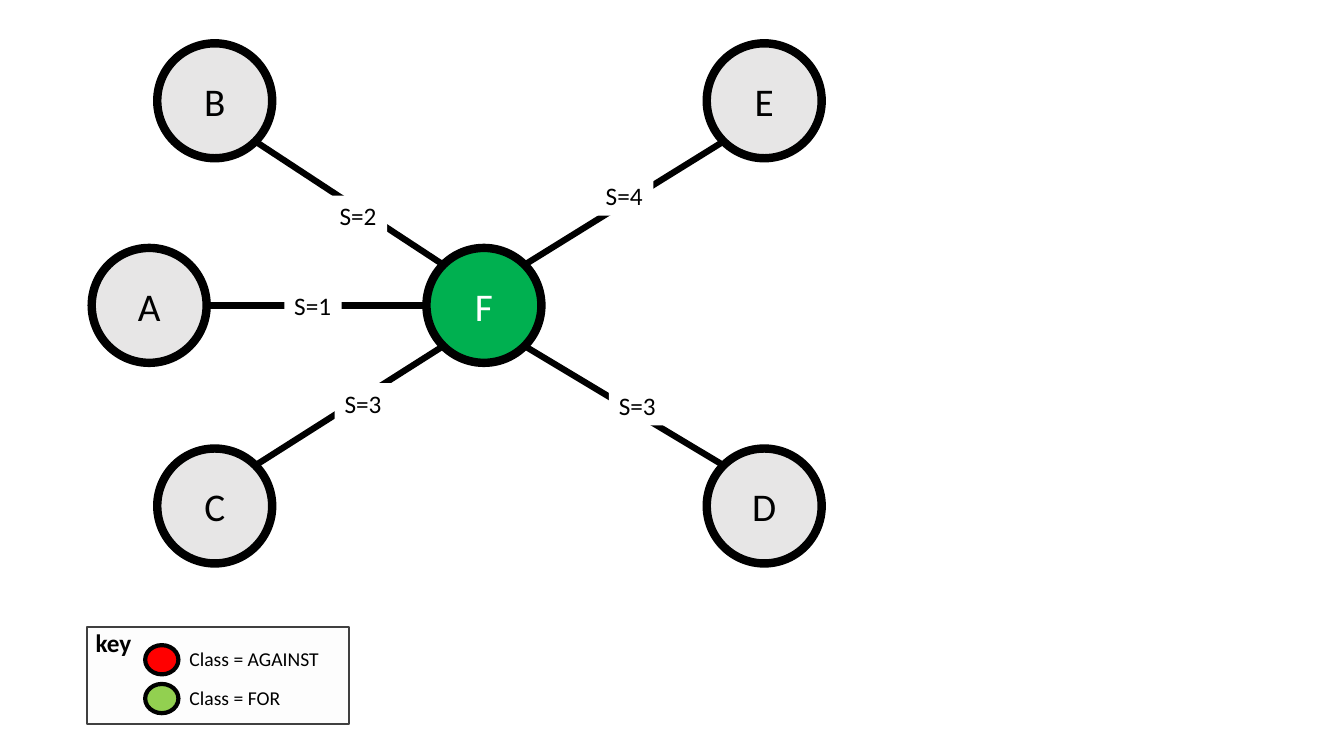
from math import hypot
from lxml.etree import SubElement
from pptx import Presentation
from pptx.dml.color import RGBColor
from pptx.enum.shapes import MSO_CONNECTOR, MSO_SHAPE
from pptx.enum.text import MSO_ANCHOR, MSO_AUTO_SIZE, PP_ALIGN
from pptx.oxml.ns import qn
from pptx.util import Inches, Pt

COLORS = {
    "black": "000000",
    "white": "FFFFFF",
    "node": "E7E6E6",
    "center": "00B050",
    "against": "FF0000",
    "for": "92D050",
    "key_fill": "F2F2F2",
    "key_line": "404040",
}
NODE_SIZE = 1.14
LABEL_SIZE = (0.57, 0.4)


def color(name):
    return RGBColor.from_string(COLORS[name])


def add_box(page, kind, box, fill, line=None, width=0):
    shape = page.shapes.add_shape(kind, *map(Inches, box))
    shape.shadow.inherit = False
    shape.fill.solid()
    shape.fill.fore_color.rgb = color(fill)
    if line:
        shape.line.color.rgb = color(line)
        shape.line.width = Pt(width)
    else:
        shape.line.fill.background()
    return shape


def write(shape, text, size, ink="black", bold=False, centered=False):
    frame = shape.text_frame
    frame.word_wrap = centered
    frame.auto_size = MSO_AUTO_SIZE.NONE if centered else MSO_AUTO_SIZE.SHAPE_TO_FIT_TEXT
    frame.vertical_anchor = MSO_ANCHOR.MIDDLE if centered else MSO_ANCHOR.TOP
    para = frame.paragraphs[0]
    para.alignment = PP_ALIGN.CENTER if centered else PP_ALIGN.LEFT
    span = para.add_run()
    span.text = text
    for name, value in {"name": "Calibri", "size": Pt(size), "bold": bold}.items():
        setattr(span.font, name, value)
    span.font.color.rgb = color(ink)


def add_text(page, box, text, size, bold=False):
    write(page.shapes.add_textbox(*map(Inches, box)), text, size, bold=bold)


def add_node(page, left, top, name, fill="node", ink="black"):
    box = (left, top, NODE_SIZE, NODE_SIZE)
    node = add_box(page, MSO_SHAPE.OVAL, box, fill, "black", 6)
    write(node, name, 28, ink, centered=True)


def add_edge(page, node, center):
    radius = NODE_SIZE / 2
    signs = [(end > start) - (end < start) for start, end in zip(node, center)]
    shifts = [radius * (1 + sign / hypot(*signs)) for sign in signs]
    start = [at + shift for at, shift in zip(node, shifts)]
    end = [at + NODE_SIZE - shift for at, shift in zip(center, shifts)]
    edge = page.shapes.add_connector(MSO_CONNECTOR.STRAIGHT, *map(Inches, start + end))
    edge.line.color.rgb = color("black")
    edge.line.width = Pt(4.5)
    SubElement(edge._element.spPr, qn("a:effectLst"))


def add_network(page, box):
    left, top, width, height = box
    middle = top + 2.03
    inner, right, bottom = left + 0.65, left + width - NODE_SIZE, top + height - NODE_SIZE
    center = (left + 3.32, middle)
    nodes = {
        "A": (left, middle),
        "B": (inner, top),
        "C": (inner, bottom),
        "D": (right, bottom),
        "E": (right, top),
    }
    labels = [
        ("S=2", 2.36, 1.51),
        ("S=1", 1.91, 2.4),
        ("S=3", 2.41, 3.37),
        ("S=3", 5.13, 3.39),
        ("S=4", 5.0, 1.31),
    ]
    for name, place in nodes.items():
        add_node(page, *place, name)
    add_node(page, *center, "F", "center", "white")
    for place in nodes.values():
        add_edge(page, place, center)
    for text, across, down in labels:
        label_box = (left + across, top + down, *LABEL_SIZE)
        write(add_box(page, MSO_SHAPE.RECTANGLE, label_box, "white"), text, 18)


def add_key(page, box):
    left, top = box[:2]
    panel = add_box(page, MSO_SHAPE.RECTANGLE, box, "key_fill", "key_line", 1.5)
    tint = panel._element.spPr.find(qn("a:solidFill"))[0]
    SubElement(tint, qn("a:alpha"), val="14000")
    add_text(page, (left - 0.01, top - 0.05, 0.56, 0.4), "key", 18, bold=True)
    entries = [("against", "Class = AGAINST", 1.5), ("for", "Class = FOR", 1.11)]
    for row, (fill, text, width) in enumerate(entries):
        down = top + 0.18 + row * 0.385
        add_box(page, MSO_SHAPE.OVAL, (left + 0.58, down, 0.33, 0.29), fill, "black", 3)
        add_text(page, (left + 0.92, down - 0.03, width, 0.34), text, 14)


deck = Presentation()
deck.slide_width = Inches(13.33)
deck.slide_height = Inches(7.5)
page = deck.slides.add_slide(deck.slide_layouts[6])
add_network(page, (0.91, 0.43, 7.24, 5.16))
add_key(page, (0.86, 6.22, 2.6, 0.96))
deck.save("out.pptx")
